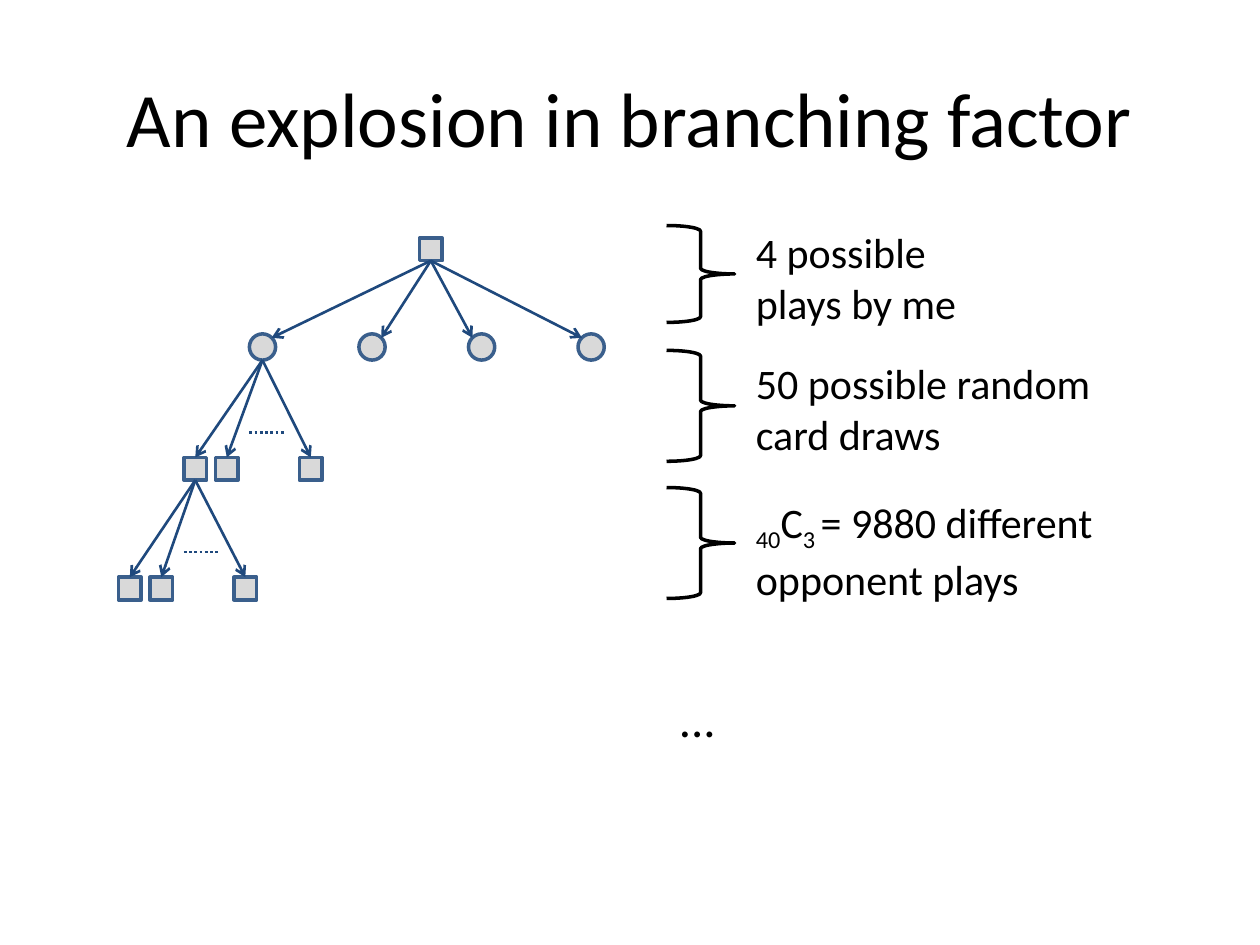
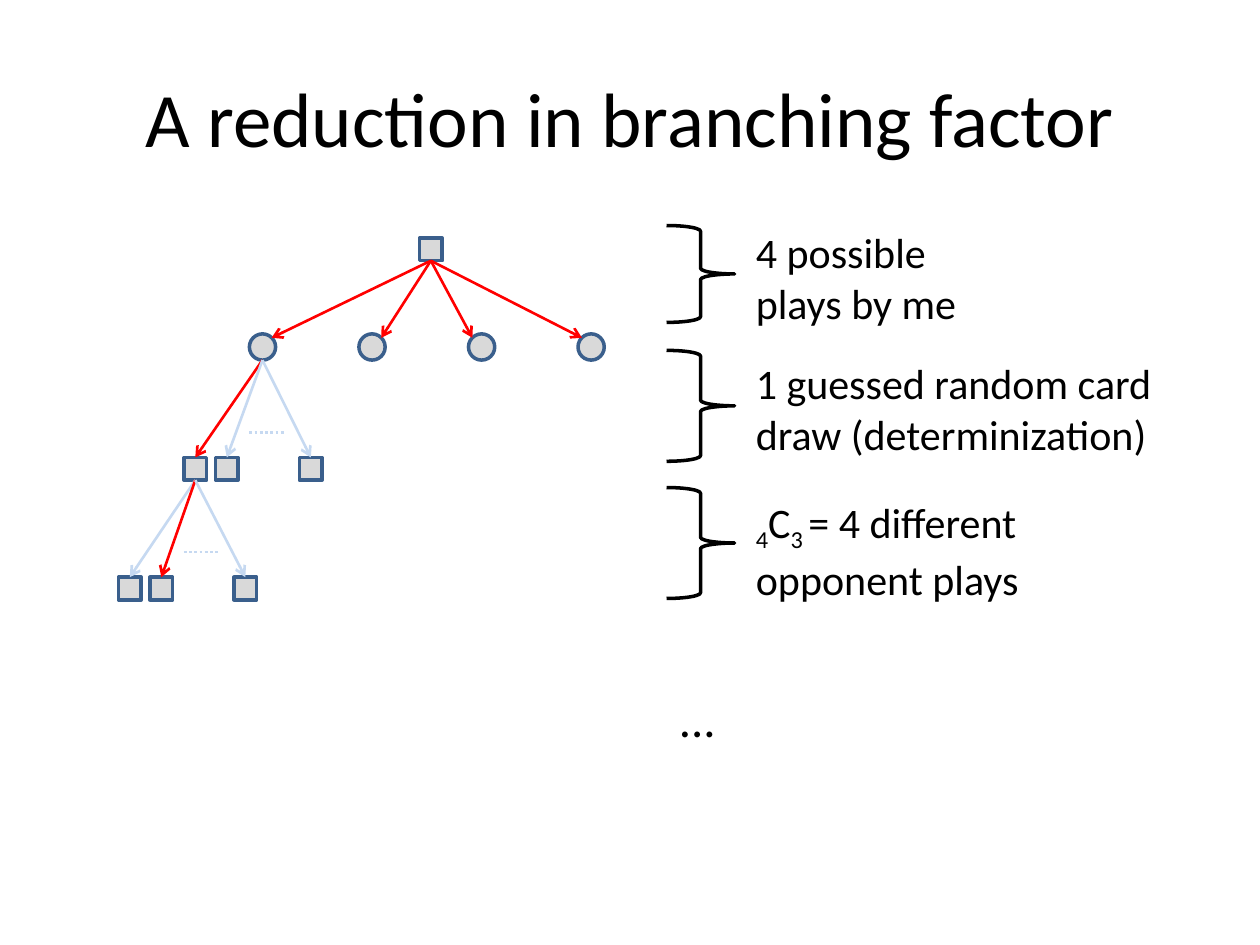
"""Builds two slides that compare the branching of a game tree."""
import lxml.etree
import pptx
import pptx.dml.color
import pptx.enum.dml
import pptx.enum.shapes
import pptx.enum.text
import pptx.oxml.ns
import pptx.util

Pt = pptx.util.Pt
RGBColor = pptx.dml.color.RGBColor
SHAPE = pptx.enum.shapes.MSO_SHAPE

BLACK = RGBColor(0x00, 0x00, 0x00)
GREY = RGBColor(0xD9, 0xD9, 0xD9)
EDGE = RGBColor(0x3A, 0x5F, 0x8C)
BLUE = RGBColor(0x1F, 0x49, 0x7D)
RED = RGBColor(0xFF, 0x00, 0x00)
PALE = RGBColor(0xC6, 0xD9, 0xF1)

FONT = "Calibri"
BOX = 13
DISC = 15
DISCS = [142.5 + 62.6 * i for i in range(4)]
DISC_TOP = 190.8
FAN = (0, 18, 66)
BRACES = ((128.9, 55.4), (200.2, 63.4), (278.6, 63.4))
NOTE_TOPS = (126, 200.9, 280.1)


def add_runs(par, runs, size):
    """Add (text, is subscript) runs to a paragraph."""
    for text, sub in runs:
        run = par.add_run()
        run.text = text
        run.font.name = FONT
        run.font.size = Pt(size)
        run.font.color.rgb = BLACK
        if sub:
            run._r.get_or_add_rPr().set("baseline", "-25000")


def add_title(slide, text):
    """Fill the title placeholder."""
    title = slide.shapes.title
    title.left, title.top = Pt(36), Pt(21.6)
    title.width, title.height = Pt(648), Pt(90)
    par = title.text_frame.paragraphs[0]
    par.alignment = pptx.enum.text.PP_ALIGN.CENTER
    add_runs(par, [(text, False)], 44)


def add_note(slide, left, top, width, height, runs, size=24):
    """Add a wrapped text box."""
    note = slide.shapes.add_textbox(Pt(left), Pt(top), Pt(width), Pt(height))
    frame = note.text_frame
    frame.word_wrap = True
    frame.auto_size = pptx.enum.text.MSO_AUTO_SIZE.SHAPE_TO_FIT_TEXT
    add_runs(frame.paragraphs[0], runs, size)


def add_node(slide, kind, left, top, size):
    """Add one grey node of the tree."""
    node = slide.shapes.add_shape(kind, Pt(left), Pt(top), Pt(size), Pt(size))
    node.shadow.inherit = False
    node.fill.solid()
    node.fill.fore_color.rgb = GREY
    node.line.color.rgb = EDGE
    node.line.width = Pt(2)
    return node


def add_brace(slide, top, height):
    """Add the brace that spans one level of the tree."""
    brace = slide.shapes.add_shape(
        SHAPE.RIGHT_BRACE, Pt(380.9), Pt(top), Pt(38.9), Pt(height))
    brace.shadow.inherit = False
    brace.fill.background()
    brace.line.color.rgb = BLACK
    brace.line.width = Pt(2)


def add_line(slide, start, end, hue):
    """Add a plain straight line."""
    line = slide.shapes.add_connector(
        pptx.enum.shapes.MSO_CONNECTOR.STRAIGHT,
        *(Pt(n) for n in (*start, *end)))
    line.line.color.rgb = hue
    line.line.width = Pt(1.5)
    lxml.etree.SubElement(line.element.spPr, pptx.oxml.ns.qn("a:effectLst"))
    return line


def add_arrow(slide, start, end, hue):
    """Add a line with an open arrowhead at its end."""
    line = add_line(slide, start, end, hue)
    lxml.etree.SubElement(line.line._get_or_add_ln(),
                          pptx.oxml.ns.qn("a:tailEnd"), type="arrow")
    return line


def add_root(slide, hue):
    """Add the root, its four discs and the arrows to them."""
    left, top = 239.7, 136
    root = add_node(slide, SHAPE.RECTANGLE, left, top, BOX)
    start = (left + BOX / 2, top + BOX)
    for i, disc in enumerate(DISCS):
        add_node(slide, SHAPE.OVAL, disc, DISC_TOP, DISC)
        side = 0.85 if i < 2 else 0.15
        end = (disc + side * DISC, DISC_TOP + 0.15 * DISC)
        add_arrow(slide, start, end, hue).begin_connect(root, 2)


def add_fan(slide, left, top, start, hues, dots, source=None):
    """Add three boxes below a node, with arrows and dots; return the first."""
    nodes = []
    for gap, hue in zip(FAN, hues):
        node = add_node(slide, SHAPE.RECTANGLE, left + gap, top, BOX)
        line = add_arrow(slide, start, (left + gap + BOX / 2, top), hue)
        if source is not None:
            line.begin_connect(source, 2)
        line.end_connect(node, 0)
        nodes.append(node)
    row = top - 14.4
    line = add_line(slide, (left + 37.4, row), (left + 57.6, row), dots)
    line.line.dash_style = pptx.enum.dml.MSO_LINE.ROUND_DOT
    return nodes[0]


def add_tree(slide, live, idle):
    """Add the whole tree, with the followed branches in the live hue."""
    add_root(slide, live)
    left, top = 105.1, 261.4
    start = (DISCS[0] + DISC / 2, DISC_TOP + DISC)
    first = add_fan(slide, left, top, start, (live, idle, idle), idle)
    start = (left + BOX / 2, top + BOX)
    add_fan(slide, left - 37.4, top + 68.4, start,
            (idle, live, idle), idle, first)


def add_slide(deck, title, live, idle, draw, width, count, total):
    """Add one slide with its tree, braces and notes."""
    slide = deck.slides.add_slide(deck.slide_layouts[5])
    add_title(slide, title)
    add_tree(slide, live, idle)
    notes = (
        (135.4, [("4 possible plays by me", False)]),
        (width, [(draw, False)]),
        (212.4, [(count, True), ("C", False), ("3 ", True),
                 (f"= {total} different opponent plays", False)]),
    )
    for (top, height), row, (wide, runs) in zip(BRACES, NOTE_TOPS, notes):
        add_brace(slide, top, height)
        add_note(slide, 424.8, row, wide, 65.5, runs)
    add_note(slide, 380.9, 357.8, 64, 46, [("...", True)], 48)


def main():
    """Build and save the deck."""
    deck = pptx.Presentation()
    deck.slide_width, deck.slide_height = Pt(720), Pt(540)
    add_slide(deck, "An explosion in branching factor", BLUE, BLUE,
              "50 possible random card draws", 212.4, "40", 9880)
    add_slide(deck, "A reduction in branching factor", RED, PALE,
              "1 guessed random card draw (determinization)", 241.2, "4", 4)
    deck.save("out.pptx")


if __name__ == "__main__":
    main()
